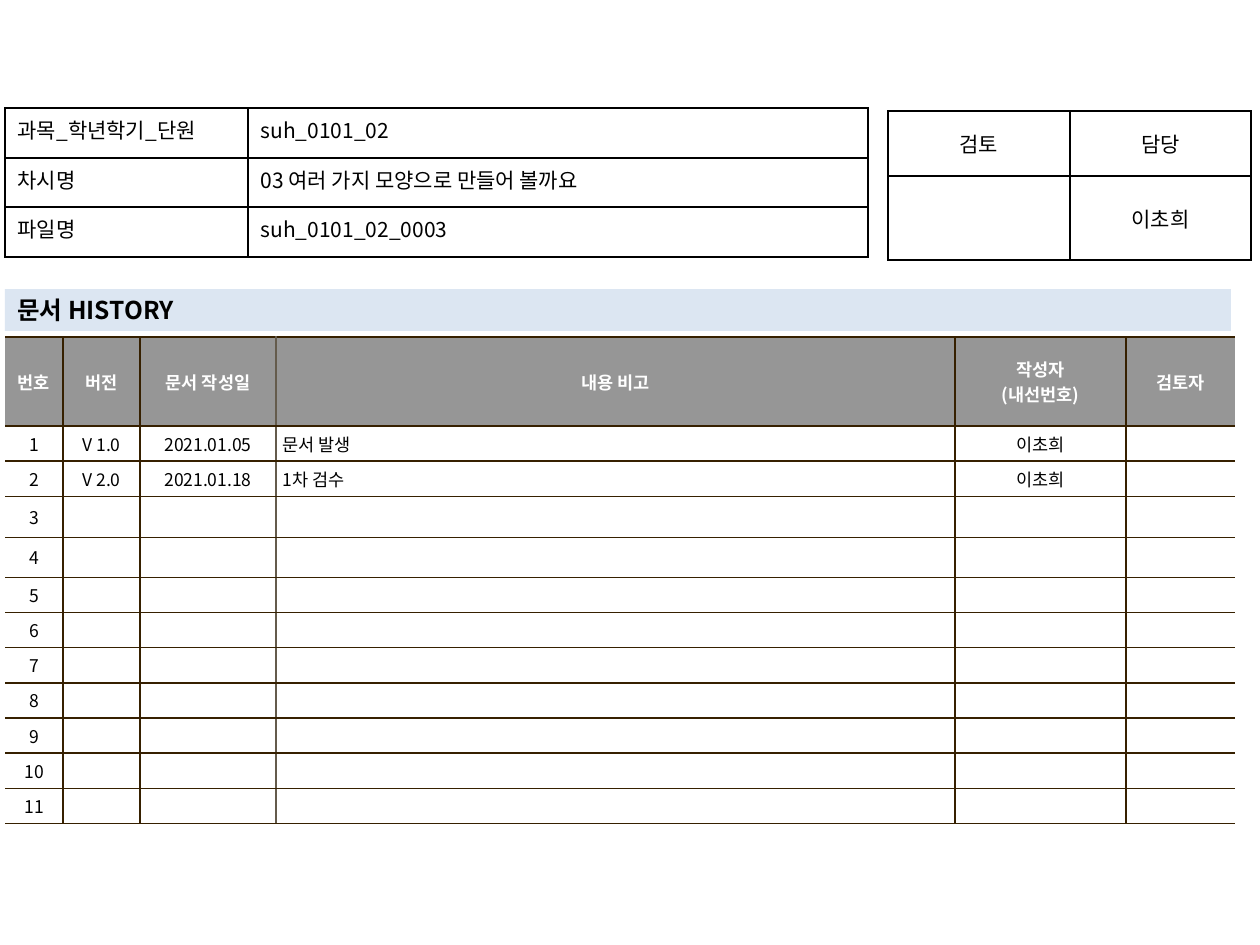
from dataclasses import dataclass

from lxml.etree import SubElement
from pptx import Presentation
from pptx.dml.color import RGBColor
from pptx.enum.shapes import MSO_SHAPE
from pptx.enum.text import MSO_ANCHOR, PP_ALIGN
from pptx.oxml.ns import qn
from pptx.util import Pt

EMU_PER_PX = 914400 // 126


@dataclass(frozen=True)
class Theme:
    font: str = "Noto Sans CJK KR"
    black: str = "000000"
    white: str = "FFFFFF"
    header: str = "969696"
    banner: str = "DCE6F2"
    brown: str = "362000"
    taupe: str = "645B4C"
    small: int = 10
    body: int = 12
    title: int = 14


THEME = Theme()

INFO = [
    ["과목_학년학기_단원", "suh_0101_02"],
    ["차시명", "03 여러 가지 모양으로 만들어 볼까요"],
    ["파일명", "suh_0101_02_0003"],
]
APPROVAL = [["검토", "담당"], ["", "이초희"]]
HISTORY_HEADER = ["번호", "버전", "문서 작성일", "내용 비고", "작성자\n(내선번호)", "검토자"]
HISTORY_ENTRIES = [
    ["V 1.0", "2021.01.05", "문서 발생", "이초희", ""],
    ["V 2.0", "2021.01.18", "1차 검수", "이초희", ""],
]
HISTORY_ROWS = 11
NOTE_COLUMN = 3


def px(value):
    return value * EMU_PER_PX


def set_attributes(target, values):
    for name, value in values.items():
        setattr(target, name, value)


def write_text(frame, text, size, color=THEME.black, bold=False, align=PP_ALIGN.LEFT):
    for index, line in enumerate(text.split("\n")):
        paragraph = frame.paragraphs[0] if index == 0 else frame.add_paragraph()
        paragraph.alignment = align
        if not line:
            # An empty cell keeps the table's type size
            SubElement(paragraph._p, qn("a:endParaRPr"), sz=str(size * 100))
            continue
        run = paragraph.add_run()
        run.text = line
        set_attributes(run.font, {"name": THEME.font, "size": Pt(size), "bold": bold})
        run.font.color.rgb = RGBColor.from_string(color)
        SubElement(run._r.get_or_add_rPr(), qn("a:ea"), typeface=THEME.font)


def set_borders(cell, colors):
    """Colors run left, right, top, bottom; None means no line."""
    properties = cell._tc.get_or_add_tcPr()
    for side, color in zip("LRTB", colors):
        line = SubElement(properties, qn(f"a:ln{side}"), w=str(Pt(1)))
        if color:
            fill = SubElement(line, qn("a:solidFill"))
            SubElement(fill, qn("a:srgbClr"), val=color)
        else:
            SubElement(line, qn("a:noFill"))


def add_grid(slide, left, top, widths, heights):
    frame = slide.shapes.add_table(
        len(heights), len(widths), px(left), px(top), px(sum(widths)), px(sum(heights)))
    table = frame.table
    set_attributes(table, {"first_row": False, "horz_banding": False})
    for column, width in zip(table.columns, widths):
        column.width = px(width)
    for row, height in zip(table.rows, heights):
        row.height = px(height)
    return table


def add_form_table(slide, left, top, widths, heights, texts, aligns, anchor):
    table = add_grid(slide, left, top, widths, heights)
    for row, row_texts in enumerate(texts):
        for column, text in enumerate(row_texts):
            cell = table.cell(row, column)
            cell.vertical_anchor = anchor
            set_borders(cell, [THEME.black] * 4)
            cell.fill.background()
            write_text(cell.text_frame, text, THEME.body, align=aligns[column])


def add_history_table(slide):
    widths = [58, 77, 136, 679, 171, 109]
    heights = [89, 35, 35, 41, 40] + [35] * 7
    table = add_grid(slide, 5, 337, widths, heights)

    # Inner verticals only: the outer sides stay open
    verticals = [None] + [THEME.brown] * (len(widths) - 1) + [None]
    verticals[NOTE_COLUMN] = THEME.taupe
    blank = [""] * (len(widths) - 1)
    entries = HISTORY_ENTRIES + [blank] * (HISTORY_ROWS - len(HISTORY_ENTRIES))
    texts = [HISTORY_HEADER] + [[str(n), *entry] for n, entry in enumerate(entries, 1)]

    for row, row_texts in enumerate(texts):
        is_header = row == 0
        for column, text in enumerate(row_texts):
            cell = table.cell(row, column)
            set_attributes(cell, {
                "vertical_anchor": MSO_ANCHOR.MIDDLE,
                "margin_left": px(7), "margin_right": px(7),
                "margin_top": px(5), "margin_bottom": px(5),
            })
            set_borders(cell, verticals[column:column + 2] + [THEME.brown] * 2)
            cell.fill.solid()
            cell.fill.fore_color.rgb = RGBColor.from_string(
                THEME.header if is_header else THEME.white)
            is_note = column == NOTE_COLUMN and not is_header
            write_text(
                cell.text_frame, text, THEME.small,
                color=THEME.white if is_header else THEME.black, bold=is_header,
                align=PP_ALIGN.LEFT if is_note else PP_ALIGN.CENTER)


def add_banner(slide, text):
    shape = slide.shapes.add_shape(MSO_SHAPE.RECTANGLE, px(5), px(289), px(1226), px(42))
    shape.shadow.inherit = False
    shape.fill.solid()
    shape.fill.fore_color.rgb = RGBColor.from_string(THEME.banner)
    shape.line.fill.background()
    set_attributes(shape.text_frame, {
        "word_wrap": True, "vertical_anchor": MSO_ANCHOR.MIDDLE,
        "margin_top": 0, "margin_bottom": 0,
    })
    write_text(shape.text_frame, text, THEME.title, bold=True)


def main():
    presentation = Presentation()
    set_attributes(presentation, {"slide_width": px(1260), "slide_height": px(945)})
    slide = presentation.slides.add_slide(presentation.slide_layouts[6])

    # Document history
    add_history_table(slide)
    # Approval box
    add_form_table(slide, 888, 111, [182, 181], [65, 84], APPROVAL,
                   [PP_ALIGN.CENTER] * 2, MSO_ANCHOR.MIDDLE)
    # Section heading
    add_banner(slide, "문서 HISTORY")
    # Lesson details
    add_form_table(slide, 5, 108, [243, 620], [50, 49, 50], INFO,
                   [PP_ALIGN.JUSTIFY, PP_ALIGN.LEFT], MSO_ANCHOR.TOP)

    presentation.save("out.pptx")


if __name__ == "__main__":
    main()
